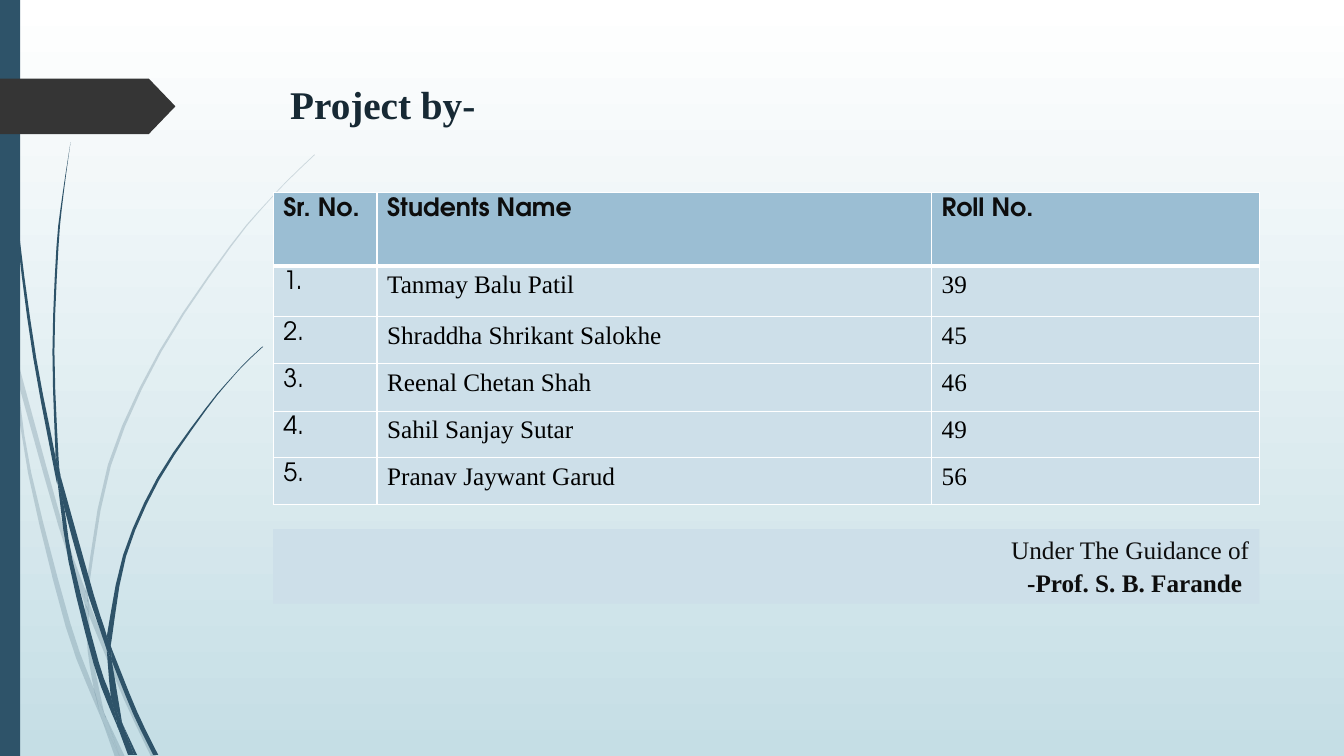
"""Build the project team slide: title, roster table and guidance note."""
from pptx import Presentation
from pptx.dml.color import RGBColor as Rgb
from pptx.enum.shapes import MSO_SHAPE as Preset
from pptx.enum.text import MSO_ANCHOR as Anchor, PP_ALIGN as Align
from pptx.oxml.ns import qn
from pptx.util import Inches, Pt
from lxml.etree import SubElement

TITLE = "Project by-"
HEADINGS = ("Sr. No.", "Students Name", "Roll No.")
STUDENTS = [
    ("Tanmay Balu Patil", "39"),
    ("Shraddha Shrikant Salokhe", "45"),
    ("Reenal Chetan Shah", "46"),
    ("Sahil Sanjay Sutar", "49"),
    ("Pranav Jaywant Garud", "56"),
]
GUIDANCE = [("Under The Guidance of", False), ("-Prof. S. B. Farande", True)]

THEME = {
    "sky": ("FFFFFF", "C5DEE5"), "stem": "2E5369", "tag": "353535",
    "title": "172934", "ink": "0D0D0D", "body": "000000",
    "heading": "9BBED3", "row": "CDDFE9", "rule": "FFFFFF",
    "serif": "Times New Roman", "sans": "TeX Gyre Adventor",
    "title_size": 28, "text_size": 18, "gap_size": 20,
    "thin": 1, "thick": 3, "faint": 20,
}

FAINT_BLADES = [
    ([(0, 2.82), (0.09, 3.22), (0.11, 3.5)], [(0.1, 3.44), (0, 2.99)]),
    ([(0.14, 3.45), (0.62, 5.2), (0.85, 5.86)],
     [(0.84, 5.99), (0.58, 5.22), (0.17, 3.76)]),
    ([(0.88, 5.96), (0.92, 6.07), (1.27, 6.92), (1.55, 7.51)],
     [(1.5, 7.51), (1.23, 6.94), (0.88, 6.1)]),
    ([(1.05, 7.11), (1.24, 7.51)], [(1.19, 7.51)]),
    ([(0.11, 3.5), (0.17, 3.76), (0.31, 4.69), (0.7, 6.19), (0.93, 6.83),
      (0.99, 7.07), (1.01, 7.14)],
     [(0.92, 6.93), (0.65, 6.21), (0.28, 4.7), (0.11, 3.5)]),
    ([(0.84, 5.99), (0.88, 6.08), (0.91, 6.46), (1.03, 7.06), (1.05, 7.11)],
     [(0.96, 6.92), (0.93, 6.83), (0.87, 6.46), (0.84, 5.99)]),
    ([(0.88, 5.96), (0.88, 5.84), (1.1, 4.62), (1.6, 3.49), (2.29, 2.45),
      (2.68, 1.98), (2.9, 1.75), (3.12, 1.54)],
     [(3.12, 1.53), (2.89, 1.75), (2.68, 1.97), (2.28, 2.44), (1.58, 3.48),
      (1.07, 4.61), (0.85, 5.84), (0.85, 5.86)]),
    ([(1.01, 7.14), (1.19, 7.51)], [(1.14, 7.51)]),
    ([(0.85, 5.86), (0.88, 5.96), (0.88, 6.1)], [(0.88, 6.08), (0.84, 5.99)]),
    ([(0.93, 6.83), (0.96, 6.92), (1.05, 7.11), (1.19, 7.51)],
     [(1.01, 7.14), (0.99, 7.07), (0.93, 6.83)]),
]
SOLID_BLADES = [
    ([(0.04, 0), (0.05, 0.48), (0.08, 1.09), (0.19, 2.32), (0.36, 3.55),
      (0.55, 4.53), (0.57, 4.81)],
     [(0.56, 4.77), (0.33, 3.55), (0.17, 2.33), (0.07, 1.1), (0.04, 0.48),
      (0.03, 0)]),
    ([(0.6, 4.72), (0.93, 5.9), (1.06, 6.31), (1.06, 6.45)],
     [(0.88, 5.92), (0.64, 5.05), (0.6, 4.72)]),
    ([(1.1, 6.41), (1.13, 6.49), (1.36, 7.06), (1.57, 7.49)],
     [(1.52, 7.49), (1.32, 7.08), (1.11, 6.56)]),
    ([(0.57, 4.77), (0.64, 5.05), (0.72, 5.56), (0.98, 6.57), (1.1, 6.91),
      (1.16, 7.17), (1.17, 7.22)],
     [(1.11, 7.08), (0.93, 6.59), (0.68, 5.57), (0.57, 4.77)]),
    ([(0.7, 1.41), (0.63, 1.93), (0.58, 2.45), (0.54, 3.49), (0.58, 4.53),
      (0.6, 4.72)],
     [(0.55, 4.49), (0.52, 3.49), (0.56, 2.45), (0.62, 1.93), (0.7, 1.41)]),
    ([(1.22, 7.19), (1.36, 7.49)], [(1.33, 7.49)]),
    ([(0.55, 4.49), (0.6, 4.72), (0.64, 5.05)], [(0.57, 4.77), (0.55, 4.53)]),
    ([(1.1, 6.41), (1.11, 6.33), (1.25, 5.52), (1.58, 4.76), (2.05, 4.06),
      (2.31, 3.74), (2.45, 3.59), (2.61, 3.44)],
     [(2.6, 3.44), (2.45, 3.58), (2.31, 3.73), (2.04, 4.05), (1.56, 4.74),
      (1.22, 5.51), (1.06, 6.31)]),
    ([(1.17, 7.22), (1.31, 7.49)], [(1.27, 7.49)]),
    ([(1.06, 6.45), (1.09, 6.51), (1.11, 6.56), (1.21, 7.16), (1.22, 7.19)],
     [(1.16, 7.06), (1.1, 6.91), (1.06, 6.45)]),
    ([(1.06, 6.31), (1.1, 6.41), (1.11, 6.56)], [(1.09, 6.51), (1.06, 6.45)]),
    ([(1.1, 6.91), (1.16, 7.06), (1.22, 7.19), (1.33, 7.49)],
     [(1.3, 7.49), (1.17, 7.22), (1.16, 7.17), (1.1, 6.91)]),
]

BAND = (0, 0, 0.2, 7.5)
TAG = (0, 0.78, 1.74, 0.55)
TITLE_BOX = (2.78, 0.75, 9.75, 1.4)
ROSTER = (2.71, 1.91, 9.78, 3.1)
NOTE = (2.71, 5.25, 9.78, 0.74)
COLUMNS = (1.03, 5.5, 3.25)
ROWS = (0.73, 0.5, 0.47, 0.47, 0.46, 0.47)
STEPS = 3


def inches(lengths):
    return [Inches(length) for length in lengths]


def paint(shape, color):
    shape.shadow.inherit = False
    shape.fill.solid()
    shape.fill.fore_color.rgb = Rgb.from_string(color)
    shape.line.fill.background()
    return shape


def write(paragraph, words, color, size="text_size", face="serif", bold=False):
    run = paragraph.add_run()
    run.text = words
    look = {"name": THEME[face], "size": Pt(THEME[size]), "bold": bold}
    for key, value in look.items():
        setattr(run.font, key, value)
    run.font.color.rgb = Rgb.from_string(THEME[color])


def between(a, b, c, d, t):
    return b + t / 2 * (c - a + t * (2 * a - 5 * b + 4 * c - d
                                     + t * (3 * b - a - 3 * c + d)))


def smooth(edge):
    ends = [edge[0], *edge, edge[-1]]
    spans = zip(ends, ends[1:], ends[2:], ends[3:])
    return [[between(*axis, step / STEPS) for axis in zip(*span)]
            for span in spans for step in range(STEPS)] + [edge[-1]]


def draw_blade(shapes, edges, alpha=100):
    outline = [inches(point) for edge in edges for point in smooth(edge)]
    builder = shapes.build_freeform(*outline[0])
    builder.add_line_segments(outline[1:], close=True)
    blade = paint(builder.convert_to_shape(), THEME["stem"])
    if alpha < 100:
        tint = next(blade.element.spPr.iter(qn("a:srgbClr")))
        SubElement(tint, qn("a:alpha"), val=str(alpha * 1000))


def rule_cell(cell, widths):
    props = cell._tc.get_or_add_tcPr()
    for side, width in widths.items():
        edge = SubElement(props, qn(f"a:ln{side}"), w=str(Pt(width)))
        fill = SubElement(edge, qn("a:solidFill"))
        SubElement(fill, qn("a:srgbClr"), val=THEME["rule"])


def draw_roster(shapes):
    records = [HEADINGS] + [(f"{n}.", *who) for n, who in enumerate(STUDENTS, 1)]
    table = shapes.add_table(len(ROWS), len(COLUMNS), *inches(ROSTER)).table
    for column, width in zip(table.columns, COLUMNS):
        column.width = Inches(width)
    for r, (height, record) in enumerate(zip(ROWS, records)):
        table.rows[r].height = Inches(height)
        heading = r == 0
        for c, words in enumerate(record):
            cell = table.cell(r, c)
            rule_cell(cell, {"L": THEME["thin"], "R": THEME["thin"],
                             "T": THEME["thick" if r == 1 else "thin"],
                             "B": THEME["thick" if heading else "thin"]})
            cell.fill.solid()
            cell.fill.fore_color.rgb = Rgb.from_string(THEME["heading" if heading else "row"])
            write(cell.text_frame.paragraphs[0], words, "ink" if heading else "body",
                  face="sans" if heading or c == 0 else "serif", bold=heading)


def draw_note(shapes):
    note = paint(shapes.add_shape(Preset.RECTANGLE, *inches(NOTE)), THEME["row"])
    frame = note.text_frame
    frame.word_wrap = True
    frame.vertical_anchor = Anchor.MIDDLE
    for index, (words, bold) in enumerate(GUIDANCE):
        line = frame.add_paragraph() if index else frame.paragraphs[0]
        line.alignment = Align.RIGHT
        write(line, words, "ink", bold=bold)
    write(line, " ", "ink", size="gap_size", bold=True)


def main():
    deck = Presentation()
    deck.slide_width, deck.slide_height = Inches(13.33), Inches(7.5)
    slide = deck.slides.add_slide(deck.slide_layouts[6])
    sky = slide.background.fill
    sky.gradient()
    sky.gradient_angle = 270
    for stop, color in zip(sky.gradient_stops, THEME["sky"]):
        stop.color.rgb = Rgb.from_string(color)
    shapes = slide.shapes
    for edges in FAINT_BLADES:
        draw_blade(shapes, edges, THEME["faint"])
    for edges in SOLID_BLADES:
        draw_blade(shapes, edges)
    paint(shapes.add_shape(Preset.RECTANGLE, *inches(BAND)), THEME["stem"])
    tag = paint(shapes.add_shape(Preset.PENTAGON, *inches(TAG)), THEME["tag"])
    tag.adjustments[0] = 0.48
    title = shapes.add_textbox(*inches(TITLE_BOX)).text_frame
    title.word_wrap = True
    write(title.paragraphs[0], TITLE, "title", size="title_size", bold=True)
    draw_roster(shapes)
    draw_note(shapes)
    deck.save("out.pptx")


if __name__ == "__main__":
    main()
